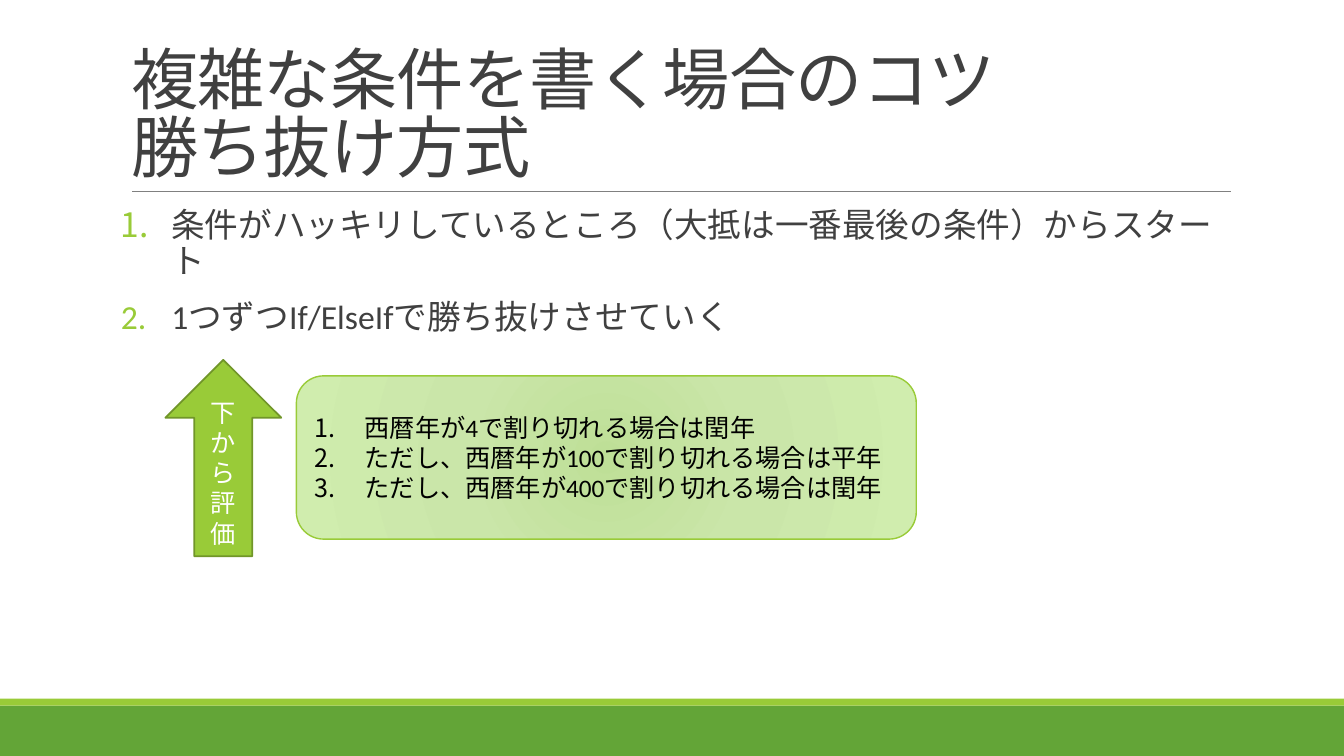
from lxml import etree
from pptx import Presentation
from pptx.dml.color import RGBColor
from pptx.enum.dml import MSO_FILL
from pptx.enum.lang import MSO_LANGUAGE_ID
from pptx.enum.shapes import MSO_CONNECTOR, MSO_SHAPE
from pptx.enum.text import MSO_ANCHOR, MSO_AUTO_SIZE, PP_ALIGN
from pptx.oxml import parse_xml
from pptx.oxml.ns import nsdecls, qn
from pptx.util import Pt

LEFT, CENTER = PP_ALIGN.LEFT, PP_ALIGN.CENTER
TOP, MIDDLE, BOTTOM = MSO_ANCHOR.TOP, MSO_ANCHOR.MIDDLE, MSO_ANCHOR.BOTTOM
FIXED = MSO_AUTO_SIZE.NONE
RECT, ROUND, ARROW = MSO_SHAPE.RECTANGLE, MSO_SHAPE.ROUNDED_RECTANGLE, MSO_SHAPE.UP_ARROW
STRAIGHT = MSO_CONNECTOR.STRAIGHT
JAPANESE = MSO_LANGUAGE_ID.JAPANESE
GRADIENT = MSO_FILL.GRADIENT

GREEN = RGBColor(0x63, 0xA5, 0x37)
LIME = RGBColor(0x99, 0xCB, 0x38)
OLIVE = RGBColor(0x71, 0x96, 0x29)
GRAY = RGBColor(0x80, 0x80, 0x80)
DARK = RGBColor(0x40, 0x40, 0x40)
BLACK = RGBColor(0, 0, 0)
WHITE = RGBColor(0xFF, 0xFF, 0xFF)
GLOW = [(0, RGBColor(0xBE, 0xDF, 0x97)), (45, RGBColor(0xCA, 0xE6, 0xA9)),
        (100, RGBColor(0xD0, 0xED, 0xAE))]

WIDE, HIGH = 960, 540
TITLE = "複雑な条件を書く場合のコツ\v勝ち抜け方式"
STEPS = ["条件がハッキリしているところ（大抵は一番最後の条件）からスタート",
         "1つずつIf/ElseIfで勝ち抜けさせていく"]
RULES = ["西暦年が4で割り切れる場合は閏年",
         "ただし、西暦年が100で割り切れる場合は平年",
         "ただし、西暦年が400で割り切れる場合は閏年"]


def place(shape, box):
    """Move a shape to a box given in points."""
    shape.left, shape.top, shape.width, shape.height = map(Pt, box)


def style(para, size, color, align=LEFT):
    """Set the font and alignment of a paragraph."""
    font = para.font
    font.name, font.size, font.color.rgb = "Calibri", Pt(size), color
    font.language_id = JAPANESE
    para.alignment = align


def number(para, color):
    """Number a paragraph with a hanging indent."""
    props = para._p.get_or_add_pPr()
    props.set("marL", str(Pt(36)))
    props.set("indent", str(-Pt(36)))
    tint = etree.SubElement(props, qn("a:buClr"))
    etree.SubElement(tint, qn("a:srgbClr"), val=str(color))
    etree.SubElement(props, qn("a:buFont"), typeface="+mj-lt")
    etree.SubElement(props, qn("a:buAutoNum"), type="arabicPeriod")


def add_list(frame, items, size, color, mark):
    """Fill a text frame with numbered items and return the paragraphs."""
    frame.text = "\n".join(items)
    for para in frame.paragraphs:
        number(para, mark)
        style(para, size, color)
    return frame.paragraphs


def add_block(slide, kind, box, fill=None, line=None, weight=1):
    """Add a flat preset shape."""
    shape = slide.shapes.add_shape(kind, *map(Pt, box))
    shape.shadow.inherit = False
    if fill is not None:
        shape.fill.solid()
        shape.fill.fore_color.rgb = fill
    if line is None:
        shape.line.fill.background()
    else:
        shape.line.color.rgb = line
        shape.line.width = Pt(weight)
    return shape


def add_glow(shape, stops):
    """Fill a shape with a round gradient."""
    shape.fill.gradient()
    assert shape.fill.type == GRADIENT
    marks = "".join(f'<a:gs pos="{pos * 1000}"><a:srgbClr val="{color}"/></a:gs>'
                    for pos, color in stops)
    grad = parse_xml(
        f'<a:gradFill {nsdecls("a")} rotWithShape="1"><a:gsLst>{marks}</a:gsLst>'
        '<a:path path="circle"><a:fillToRect l="100000" t="100000" r="100000" b="100000"/>'
        '</a:path></a:gradFill>')
    props = shape._element.spPr
    props.replace(props.find(qn("a:gradFill")), grad)


def add_footer(slide, box):
    """Draw the two bands at the foot of the slide."""
    left, top, width, height = box
    edge = 5
    add_block(slide, RECT, (left, top + edge, width, height - edge), GREEN)
    add_block(slide, RECT, (left, top, width, edge), LIME)


def add_title(slide, box):
    """Set the title and the rule below it."""
    left, top, width, height = box
    title = slide.shapes.title
    place(title, box)
    frame = title.text_frame
    frame.text = TITLE
    frame.auto_size, frame.vertical_anchor = FIXED, BOTTOM
    para = frame.paragraphs[0]
    style(para, 48, DARK)
    para.line_spacing = 0.85
    para.font._element.set("spc", "-50")
    base = top + height
    rule = slide.shapes.add_connector(
        STRAIGHT, Pt(left + 8), Pt(base), Pt(left + width + 1), Pt(base))
    rule.line.color.rgb, rule.line.width = GRAY, Pt(0.5)
    etree.SubElement(rule._element.spPr, qn("a:effectLst"))


def add_steps(slide, box):
    """Set the numbered steps in the body."""
    body = slide.placeholders[1]
    place(body, box)
    frame = body.text_frame
    frame.auto_size, frame.vertical_anchor = FIXED, TOP
    frame.margin_left = frame.margin_right = 0
    for para in add_list(frame, STEPS, 24, DARK, LIME):
        para.line_spacing = 0.9
        para.space_before, para.space_after = Pt(12), Pt(2)


def add_rules(slide, box):
    """Draw the leap year rules with the arrow beside them."""
    left, top, width, height = box
    card = add_block(slide, ROUND, (left + 93.6, top + 11.5, width - 93.6, 116.6), line=LIME)
    add_glow(card, GLOW)
    card.text_frame.word_wrap, card.text_frame.vertical_anchor = True, MIDDLE
    add_list(card.text_frame, RULES, 18, BLACK, BLACK)
    arrow = add_block(slide, ARROW, (left, top, 82.8, height), LIME, OLIVE, 1.25)
    frame = arrow.text_frame
    frame.text = "下から評価"
    frame.word_wrap, frame.vertical_anchor = True, MIDDLE
    style(frame.paragraphs[0], 18, WHITE, CENTER)


def main():
    """Build and save the slide."""
    deck = Presentation()
    deck.slide_width, deck.slide_height = Pt(WIDE), Pt(HIGH)
    slide = deck.slides.add_slide(deck.slide_layouts[1])
    add_footer(slide, (0, 499, WIDE, 41))
    add_title(slide, (86.4, 22.3, 792, 114.5))
    add_steps(slide, (86.4, 145.4, 792, 316.8))
    add_rules(slide, (118.1, 257, 536.4, 140.4))
    deck.save("out.pptx")


main()
